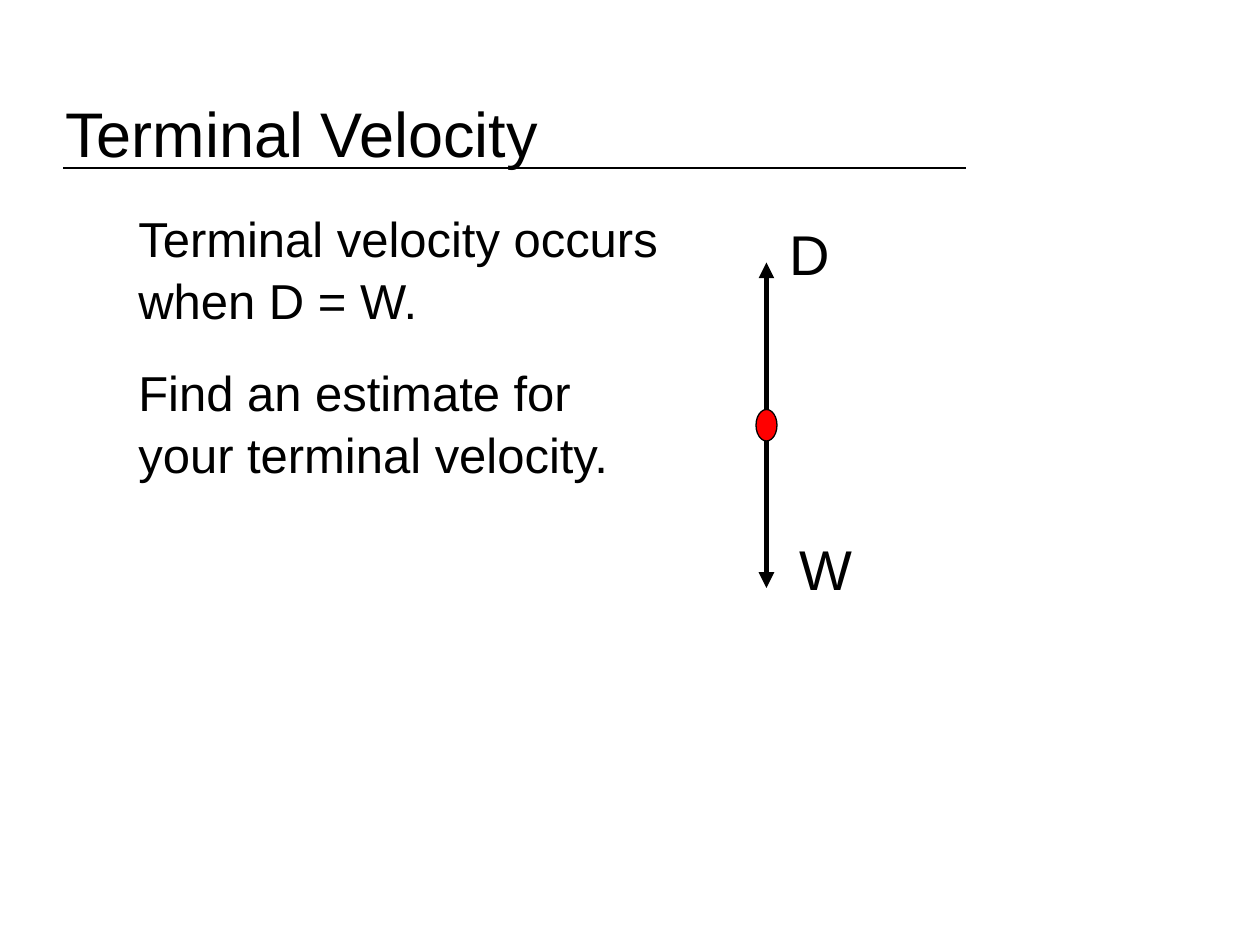
import pptx
import pptx.dml.color
import pptx.enum.shapes
import pptx.enum.text
import pptx.oxml
import pptx.oxml.ns
import pptx.util
from lxml import etree

THEME = {
    "font": "Arial",
    "ink": pptx.dml.color.RGBColor(0, 0, 0),
    "ball": pptx.dml.color.RGBColor(255, 0, 0),
    "title": 36,
    "label": 32,
    "body": 28,
    "thin": 0.75,
    "thick": 3,
    "line_spacing": 1.05,
    "paragraph_gap": 17.5,
}
WIDTH, HEIGHT = 10, 7.5
COLUMN, ROW = WIDTH / 120, HEIGHT / 90

TITLE = ("Terminal Velocity", (5, 8, 80, 8.4))
BODY = (
    ["Terminal velocity occurs when D = W.", "Find an estimate for your terminal velocity."],
    (12, 19, 53, 26.5),
)
LABELS = [("D", (74, 20, 21, 7.7)), ("W", (75, 50, 21, 7.7))]
RULE = ((6, 16), (92, 16))
BALL = (72, 39, 2, 3)
FORCE_LENGTH = 14


def place(columns, rows):
    return pptx.util.Inches(columns * COLUMN), pptx.util.Inches(rows * ROW)


def fill_text(shape, paragraphs, size):
    frame = shape.text_frame
    frame.text = "\n".join(paragraphs)
    frame_format = {
        "word_wrap": True,
        "auto_size": pptx.enum.text.MSO_AUTO_SIZE.NONE,
        "vertical_anchor": pptx.enum.text.MSO_ANCHOR.TOP,
    }
    for name, value in frame_format.items():
        setattr(frame, name, value)
    for index, paragraph in enumerate(frame.paragraphs):
        paragraph_format = {
            "alignment": pptx.enum.text.PP_ALIGN.LEFT,
            "line_spacing": THEME["line_spacing"],
            "space_before": pptx.util.Pt(THEME["paragraph_gap"] if index else 0),
        }
        for name, value in paragraph_format.items():
            setattr(paragraph, name, value)
        font_format = {"name": THEME["font"], "size": pptx.util.Pt(size)}
        for name, value in font_format.items():
            setattr(paragraph.font, name, value)
        paragraph.font.color.rgb = THEME["ink"]


def add_text(slide, paragraphs, box, size):
    shape = slide.shapes.add_textbox(*place(*box[:2]), *place(*box[2:]))
    fill_text(shape, paragraphs, size)


def add_line(slide, start, end, weight, arrow=False):
    connector = slide.shapes.add_connector(
        pptx.enum.shapes.MSO_CONNECTOR.STRAIGHT, *place(*start), *place(*end)
    )
    connector.line.color.rgb = THEME["ink"]
    connector.line.width = pptx.util.Pt(weight)
    if arrow:
        line = connector.line._get_or_add_ln()
        etree.SubElement(line, pptx.oxml.ns.qn("a:tailEnd"), type="triangle")
    etree.SubElement(connector._element.spPr, pptx.oxml.ns.qn("a:effectLst"))


def add_ball(slide):
    ball = slide.shapes.add_shape(
        pptx.enum.shapes.MSO_SHAPE.OVAL, *place(*BALL[:2]), *place(*BALL[2:])
    )
    ball.shadow.inherit = False
    ball.fill.solid()
    ball.fill.fore_color.rgb = THEME["ball"]
    ball.line.color.rgb = THEME["ink"]
    ball.line.width = pptx.util.Pt(THEME["thin"])


def main():
    presentation = pptx.Presentation()
    presentation.slide_width, presentation.slide_height = place(120, 90)
    slide = presentation.slides.add_slide(presentation.slide_layouts[5])

    text, box = TITLE
    title = slide.shapes.title
    title.left, title.top = place(*box[:2])
    title.width, title.height = place(*box[2:])
    fill_text(title, [text], THEME["title"])

    add_line(slide, *RULE, THEME["thin"])
    add_ball(slide)
    left, top, width, height = BALL
    center = left + width / 2
    for edge, direction in ((top + height, 1), (top, -1)):
        end = (center, edge + direction * FORCE_LENGTH)
        add_line(slide, (center, edge), end, THEME["thick"], arrow=True)

    for label, box in LABELS:
        add_text(slide, [label], box, THEME["label"])
    add_text(slide, *BODY, THEME["body"])
    presentation.save("out.pptx")


if __name__ == "__main__":
    main()
